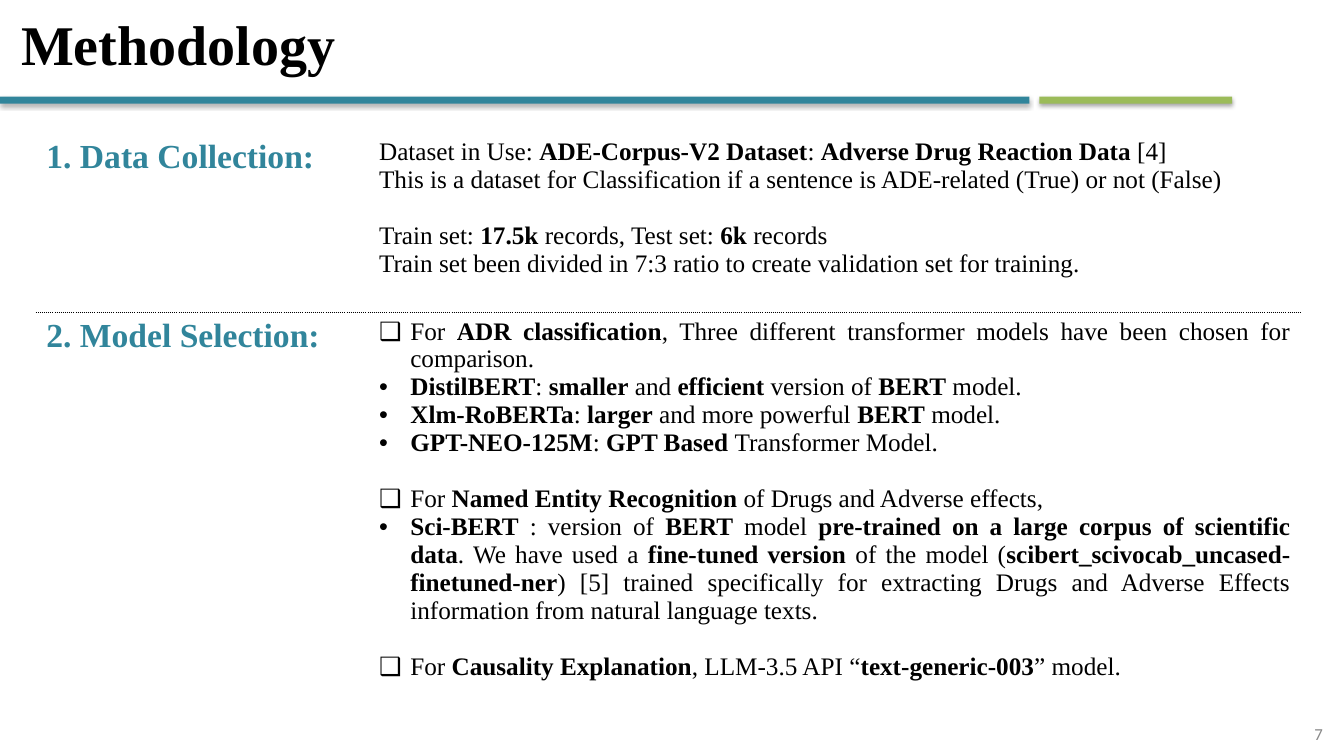
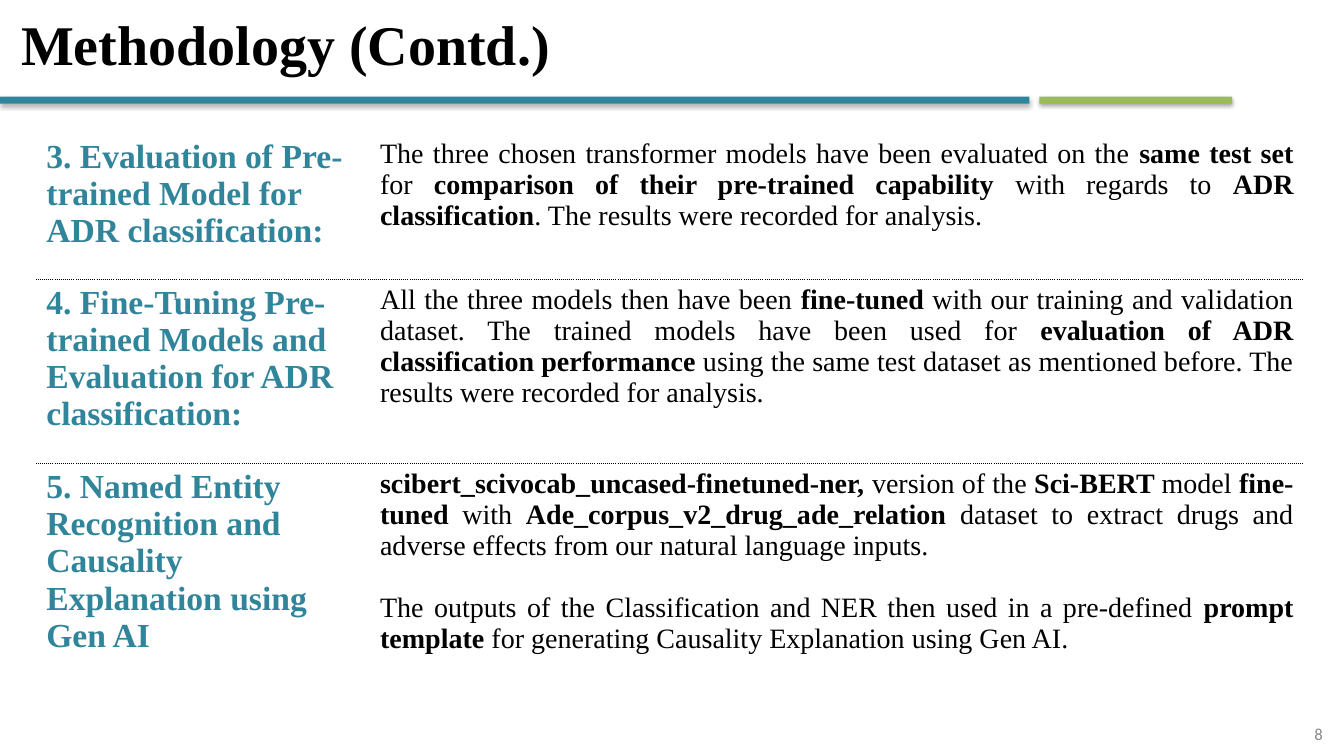
import pptx
import pptx.dml.color
import pptx.enum.shapes
import pptx.enum.text
import pptx.oxml
import pptx.oxml.ns
import pptx.util
from pptx.util import Inches

TEAL = "31859B"
GREEN = "9BBB59"
BLACK = "000000"
GRAY = "888888"
SERIF = "Times New Roman"
SANS = "Calibri"
ALIGN = pptx.enum.text.PP_ALIGN
NAMESPACE = pptx.oxml.ns.nsdecls("a")
CHECK = "❑"
DOT = "•"


def color(value):
    return pptx.dml.color.RGBColor.from_string(value)


class Deck:
    def __init__(self):
        self.presentation = pptx.Presentation()
        self.presentation.slide_width = Inches(13.33)
        self.presentation.slide_height = Inches(7.5)
        self.slide = None

    def add_slide(self, title, number):
        self.slide = self.presentation.slides.add_slide(self.presentation.slide_layouts[5])
        self.band(0, 10.21, TEAL)
        self.band(10.31, 1.91, GREEN)
        self.title(title)
        self.page_number(number)

    def style(self, paragraph, size, font_color, name=SERIF, bold=None, align=ALIGN.LEFT):
        paragraph.alignment = align
        font = paragraph.font
        font.name, font.size, font.bold = name, pptx.util.Pt(size), bold
        font.color.rgb = color(font_color)

    def band(self, left, width, fill):
        shape = self.slide.shapes.add_shape(
            pptx.enum.shapes.MSO_SHAPE.RECTANGLE,
            Inches(left), Inches(0.96), Inches(width), Inches(0.07))
        shape.fill.solid()
        shape.fill.fore_color.rgb = color(fill)
        shape.line.fill.background()
        shape.shadow.inherit = False
        effects = shape._element.spPr.find(pptx.oxml.ns.qn("a:effectLst"))
        effects.append(pptx.oxml.parse_xml(
            f'<a:outerShdw {NAMESPACE} blurRad="{pptx.util.Pt(3.1)}" dist="{pptx.util.Pt(1.8)}" '
            f'dir="5400000" rotWithShape="0"><a:srgbClr val="{BLACK}">'
            '<a:alpha val="35000"/></a:srgbClr></a:outerShdw>'))

    def title(self, text):
        shape = self.slide.shapes.title
        shape.left, shape.top = Inches(0.11), Inches(0.07)
        shape.width, shape.height = Inches(12.1), Inches(0.79)
        frame = shape.text_frame
        frame.text = text
        frame.auto_size = pptx.enum.text.MSO_AUTO_SIZE.NONE
        frame.vertical_anchor = pptx.enum.text.MSO_ANCHOR.MIDDLE
        paragraph = frame.paragraphs[0]
        paragraph.line_spacing = 0.9
        self.style(paragraph, 40, BLACK, bold=True)

    def page_number(self, number):
        box = self.slide.shapes.add_textbox(Inches(10.22), Inches(7.13), Inches(3), Inches(0.3))
        frame = box.text_frame
        frame.word_wrap = True
        frame.vertical_anchor = pptx.enum.text.MSO_ANCHOR.MIDDLE
        frame.text = str(number)
        self.style(frame.paragraphs[0], 12, GRAY, SANS, align=ALIGN.RIGHT)

    def bullet(self, paragraph, character):
        properties = paragraph._p.get_or_add_pPr()
        properties.set("marL", str(Inches(0.31)))
        properties.set("indent", str(-Inches(0.31)))
        for xml in (f'<a:buClr {NAMESPACE}><a:srgbClr val="{BLACK}"/></a:buClr>',
                    f'<a:buFont {NAMESPACE} typeface="Arial"/>',
                    f'<a:buChar {NAMESPACE} char="{character}"/>'):
            properties.append(pptx.oxml.parse_xml(xml))

    def body(self, frame, groups, size):
        paragraph = None
        for group in groups:
            for position, (character, text) in enumerate(group):
                gap = paragraph is not None and position == 0
                paragraph = frame.add_paragraph() if paragraph is not None else frame.paragraphs[0]
                if character:
                    self.bullet(paragraph, character)
                if gap:
                    paragraph.space_before = pptx.util.Pt(round(size * 1.11))
                self.style(paragraph, size, BLACK, align=ALIGN.JUSTIFY)
                for index, part in enumerate(text.split("**")):
                    if part:
                        run = paragraph.add_run()
                        run.text = part
                        run.font.bold = index % 2 == 1

    def dotted_border(self, cell, sides):
        properties = cell._tc.get_or_add_tcPr()
        for index, side in enumerate(sides):
            properties.insert(index, pptx.oxml.parse_xml(
                f'<a:{side} {NAMESPACE} w="{pptx.util.Pt(1)}"><a:solidFill>'
                f'<a:srgbClr val="{BLACK}"/></a:solidFill><a:prstDash val="sysDot"/></a:{side}>'))

    def sections(self, widths, rows, size):
        shape = self.slide.shapes.add_table(
            len(rows), 2, Inches(0.36), Inches(1.32),
            Inches(sum(widths)), Inches(sum(height for height, _, _ in rows)))
        table = shape.table
        table.first_row = table.horz_banding = False
        for column, width in zip(table.columns, widths):
            column.width = Inches(width)
        for index, (height, heading, groups) in enumerate(rows):
            table.rows[index].height = Inches(height)
            label, content = table.cell(index, 0), table.cell(index, 1)
            label.text_frame.text = heading
            self.style(label.text_frame.paragraphs[0], 24, TEAL, bold=True)
            self.body(content.text_frame, groups, size)
            sides = ["lnT"] * (index > 0) + ["lnB"] * (index < len(rows) - 1)
            for cell in (label, content):
                cell.fill.background()
                self.dotted_border(cell, sides)


def main():
    deck = Deck()

    deck.add_slide("Methodology", 7)
    deck.sections((3.3, 9.24), [
        (1.78, "1. Data Collection:", [
            [(None, "Dataset in Use: **ADE-Corpus-V2 Dataset**: **Adverse Drug Reaction Data **[4]"),
             (None, "This is a dataset for Classification if a sentence is ADE-related (True) or not (False)")],
            [(None, "Train set: **17.5k** records, Test set: **6k** records"),
             (None, "Train set been divided in 7:3 ratio to create validation set for training.")],
        ]),
        (4, "2. Model Selection:", [
            [(CHECK, "For **ADR classification**, Three different transformer models "
                     "have been chosen for comparison."),
             (DOT, "**DistilBERT**: **smaller** and **efficient** version of **BERT** model."),
             (DOT, "**Xlm-RoBERTa**: **larger** and more powerful **BERT** model."),
             (DOT, "**GPT-NEO-125M**: **GPT Based **Transformer Model.")],
            [(CHECK, "For **Named Entity Recognition **of Drugs and Adverse effects, "),
             (DOT, "**Sci-BERT** : version of **BERT** model **pre-trained on a large corpus of "
                   "scientific data**. We have used a **fine-tuned version **of the model "
                   "(**scibert_scivocab_uncased-finetuned-ner**) [5] trained specifically for "
                   "extracting Drugs and Adverse Effects information from natural language texts.")],
            [(CHECK, "For **Causality Explanation**, LLM-3.5 API “**text-generic-003**” model.")],
        ]),
    ], 18)

    deck.add_slide("Methodology (Contd.)", 8)
    deck.sections((3.31, 9.26), [
        (1.45, "3. Evaluation of Pre-trained Model for ADR classification:", [
            [(None, "The three chosen transformer models have been evaluated on the **same test set **"
                    "for **comparison of their pre-trained capability **with regards to "
                    "**ADR classification**. The results were recorded for analysis.")],
        ]),
        (1.83, "4. Fine-Tuning Pre-trained Models and Evaluation for ADR classification:", [
            [(None, "All the three models then have been **fine-tuned** with our training and "
                    "validation dataset. The trained models have been used for **evaluation of ADR "
                    "classification performance** using the same test dataset as mentioned before. "
                    "The results were recorded for analysis.")],
        ]),
        (2.44, "5. Named Entity Recognition and Causality Explanation using Gen AI", [
            [(None, "**scibert_scivocab_uncased-finetuned-ner, **version of the **Sci-BERT **model "
                    "**fine-tuned** with **Ade_corpus_v2_drug_ade_relation **dataset to extract "
                    "drugs and adverse effects from our natural language inputs.")],
            [(None, "The outputs of the Classification and NER then used in a pre-defined "
                    "**prompt template** for generating Causality Explanation using Gen AI.")],
        ]),
    ], 20)

    deck.presentation.save("out.pptx")


if __name__ == "__main__":
    main()
